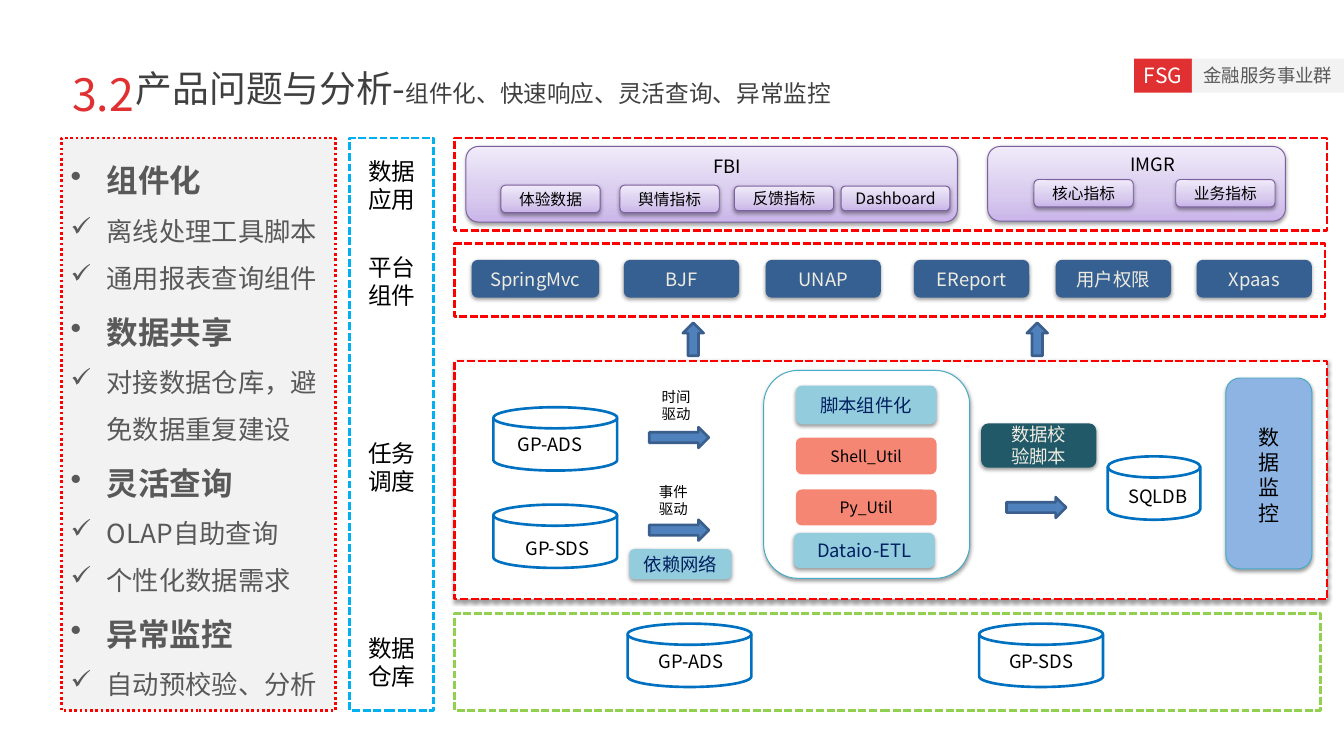
import copy

import lxml.etree
import pptx
import pptx.dml.color
import pptx.enum.dml
import pptx.enum.shapes
import pptx.enum.text
import pptx.oxml.ns
import pptx.util

WIDTH, HEIGHT = 14.22, 8
CELL = 0.1
FONT = "Noto Sans CJK SC"
COLORS = {
    "black": "000000", "white": "FFFFFF", "red": "E03031", "title": "404040",
    "body": "595959", "grey": "F2F2F2", "border": "FF0000", "cyan": "00B0F0",
    "green": "92D050", "purple": "7D60A0", "teal": "46AAC5", "navy": "376092",
    "cream": "EEECE1", "disk": "0070C0", "arrow": "4F81BD", "arrow edge": "3A5F8C",
    "salmon": "F58673", "aqua": "93CDDD", "ink": "002060", "pine": "215968",
    "sky": "8EB4E3", "lilac dark": "C9B5E8", "lilac": "D8CBEE", "lilac light": "F0EAF9",
}
LILAC = [(0, "lilac dark"), (35, "lilac"), (100, "lilac light")]
STYLES = {
    "tag": dict(fill="red", size=16, color="white"),
    "group": dict(fill="grey", size=14, color="body"),
    "red frame": dict(line="border", weight=2, dash="SQUARE_DOT"),
    "task frame": dict(fill="white", line="border", weight=2, dash="SQUARE_DOT", shadow=True),
    "green frame": dict(line="green", weight=2, dash="SQUARE_DOT"),
    "blue frame": dict(line="cyan", weight=2, dash="SQUARE_DOT"),
    "list": dict(fill="grey", line="border", weight=2, dash="ROUND_DOT"),
    "lilac": dict(preset="ROUNDED_RECTANGLE", fill=LILAC, line="purple", shadow=True,
                  size=12, color="black"),
    "script box": dict(preset="ROUNDED_RECTANGLE", fill="white", line="teal", shadow=True),
    "monitor": dict(preset="ROUNDED_RECTANGLE", fill="sky", line="teal", shadow=True),
    "platform": dict(preset="ROUNDED_RECTANGLE", fill="navy", shadow=True, size=14, color="cream"),
    "check": dict(preset="ROUNDED_RECTANGLE", fill="pine", shadow=True, size=14, color="cream"),
    "util": dict(preset="ROUNDED_RECTANGLE", fill="salmon", size=12, color="black"),
    "step": dict(preset="ROUNDED_RECTANGLE", fill="aqua", shadow=True, size=14, color="ink"),
    "disk": dict(preset="FLOWCHART_MAGNETIC_DISK", line="disk", weight=2),
    "arrow": dict(preset="RIGHT_ARROW", fill="arrow", line="arrow edge", weight=2),
}

HEADER = [("tag", 120, 6.2, 6.1, 3.6, "FSG"), ("group", 126.1, 6.2, 16.1, 3.6, "金融服务事业群")]
PANELS = [
    ("lilac", 49.3, 15.5, 52, 8, ""), ("lilac", 104.5, 15.5, 31.5, 7.9, ""),
    ("red frame", 48.1, 14.6, 92.3, 9.8, ""), ("red frame", 48.1, 25.8, 92.1, 7.7, ""),
    ("task frame", 48.1, 38.2, 92.3, 25.2, ""), ("green frame", 48.1, 64.9, 91.6, 10.3, ""),
    ("blue frame", 37, 14.6, 8.9, 60.6, ""), ("script box", 80.8, 39.2, 21.8, 22, ""),
    ("monitor", 129.7, 40, 9.1, 20.2, ""),
]
INDICATORS = [
    ("lilac", 53, 19.6, 10.5, 2.9, "体验数据"), ("lilac", 65.6, 19.6, 10.5, 2.9, "舆情指标"),
    ("lilac", 77.7, 19.7, 10.5, 2.6, "反馈指标"), ("lilac", 89, 19.7, 11.5, 2.6, "Dashboard"),
    ("lilac", 109.4, 19, 10.5, 2.9, "核心指标"), ("lilac", 124.4, 19, 10.5, 2.9, "业务指标"),
]
PLATFORM = [("SpringMvc", 49.9, 13.5), ("BJF", 66, 12.2), ("UNAP", 81, 12.2),
            ("EReport", 96.7, 12.2), ("用户权限", 111.7, 12.2), ("Xpaas", 126.6, 12.2)]
SCRIPTS = [
    ("step", 84.2, 40.8, 14.9, 4.1, "脚本组件化"), ("util", 84.2, 46.3, 14.9, 3.9, "Shell_Util"),
    ("util", 84.2, 51.8, 14.9, 3.8, "Py_Util"), ("step", 84, 56.4, 14.9, 3.7, "Dataio-ETL"),
    ("step", 66.6, 58.1, 10.8, 3.2, "依赖网络"), ("check", 103.8, 44.8, 12.2, 4.7, "数据校\n验脚本"),
]
DISKS = [("GP-ADS", 66.4, 66, 13.1, 2.3, 2.3), ("GP-SDS", 103.6, 66, 13.1, 2.2, 2.3),
         ("GP-ADS", 52.2, 43.1, 13.1, 1.6, 2.2), ("GP-SDS", 52.2, 53.4, 13.1, 2.4, 2.9),
         ("SQLDB", 117.2, 48.3, 9.8, 1.2, 2.5)]
ARROWS = [(68.7, 45.2, 6.3, 0), (68.7, 55, 6.3, 0), (106.5, 52.6, 6.3, 0),
          (71.6, 34.8, 3.5, 270), (108, 34.8, 3.5, 270)]
LAYERS = [("数据\n应用", 14), ("平台\n组件", 24.2), ("任务\n调度", 43.9), ("数据\n仓库", 64.5)]
NOTES = [("时间\n驱动", 67.1, 40.8, 8.9, 4.2, 11), ("事件\n驱动", 68, 51, 6.5, 3.8, 11),
         ("数据监控", 131.7, 44.7, 5.2, 11.1, 16)]
APPLICATIONS = [("FBI", 74.5, 15.9), ("IMGR", 118.6, 15.7)]
TITLE = ("产品问题与分析-", "组件化、快速响应、灵活查询、异常监控")
TOPICS = [
    ("组件化", ["离线处理工具脚本", "通用报表查询组件"]),
    ("数据共享", ["对接数据仓库，避免数据重复建设"]),
    ("灵活查询", ["OLAP自助查询", "个性化数据需求"]),
    ("异常监控", ["自动预校验、分析"]),
]

presentation = pptx.Presentation()
presentation.slide_width = pptx.util.Inches(WIDTH)
presentation.slide_height = pptx.util.Inches(HEIGHT)
slide = presentation.slides.add_slide(presentation.slide_layouts[6])
ALIGN = pptx.enum.text.PP_ALIGN
ANCHOR = pptx.enum.text.MSO_ANCHOR


def rgb(name):
    return pptx.dml.color.RGBColor.from_string(COLORS[name])


def grid(*cells):
    return [pptx.util.Inches(cell * CELL) for cell in cells]


def add_xml(parent, tag, **attributes):
    return lxml.etree.SubElement(parent, pptx.oxml.ns.qn(tag), attributes)


def format_paragraph(paragraph, size, color, align, bold=False, spacing=None):
    paragraph.alignment = align
    paragraph.line_spacing = spacing
    font = paragraph.font
    font.size, font.bold, font.name = pptx.util.Pt(size), bold, FONT
    font.color.rgb = rgb(color)
    properties = paragraph._p.get_or_add_pPr().find(pptx.oxml.ns.qn("a:defRPr"))
    add_xml(properties, "a:ea", typeface=FONT)
    return properties


def write(shape, text, size, color="black", align=ALIGN.CENTER, anchor=ANCHOR.MIDDLE, spacing=None):
    frame = shape.text_frame
    frame.word_wrap, frame.vertical_anchor = True, anchor
    frame.text = text
    for paragraph in frame.paragraphs:
        format_paragraph(paragraph, size, color, align, spacing=spacing)
    return frame


def add_label(text, left, top, width, height, size, **options):
    return write(slide.shapes.add_textbox(*grid(left, top, width, height)), text, size, **options)


def fill_gradient(shape, stops):
    shape.fill.gradient()
    shape.fill.gradient_angle = 90
    for stop, (_, color) in zip(shape.fill.gradient_stops, (stops[0], stops[-1])):
        stop.color.rgb = rgb(color)
    stop_list = next(shape._element.spPr.iter(pptx.oxml.ns.qn("a:gsLst")))
    middle = copy.deepcopy(stop_list[0])
    middle.set("pos", str(stops[1][0] * 1000))
    middle[0].set("val", COLORS[stops[1][1]])
    stop_list.insert(1, middle)


def add_box(name, left, top, width, height, text=""):
    style = STYLES[name]
    preset = getattr(pptx.enum.shapes.MSO_SHAPE, style.get("preset", "RECTANGLE"))
    shape = slide.shapes.add_shape(preset, *grid(left, top, width, height))
    fill = style.get("fill")
    if isinstance(fill, list):
        fill_gradient(shape, fill)
    elif fill:
        shape.fill.solid()
        shape.fill.fore_color.rgb = rgb(fill)
    else:
        shape.fill.background()
    if "line" in style:
        shape.line.color.rgb = rgb(style["line"])
        shape.line.width = pptx.util.Pt(style.get("weight", 0.75))
        if "dash" in style:
            shape.line.dash_style = getattr(pptx.enum.dml.MSO_LINE, style["dash"])
    else:
        shape.line.fill.background()
    shape.shadow.inherit = False
    if style.get("shadow"):
        effects = shape._element.spPr.find(pptx.oxml.ns.qn("a:effectLst"))
        shadow = add_xml(effects, "a:outerShdw", blurRad=str(pptx.util.Pt(3.1)),
                         dist=str(pptx.util.Pt(1.6)), dir="5400000", rotWithShape="0")
        color = add_xml(shadow, "a:srgbClr", val=COLORS["black"])
        add_xml(color, "a:alpha", val="38000")
    if text:
        frame = write(shape, text, style["size"], style["color"])
        frame.margin_left = frame.margin_right = frame.margin_top = frame.margin_bottom = 0
    return shape


def add_topics():
    frame = add_box("list", 6.5, 14.6, 29, 60.6).text_frame
    frame.word_wrap, frame.vertical_anchor = True, ANCHOR.TOP
    lines = [line for heading, items in TOPICS
             for line in [(heading, "•", 24)] + [(item, "✓", 20) for item in items]]
    frame.text = "\n".join(text for text, _, _ in lines)
    indent = pptx.util.Inches(0.38)
    for paragraph, (_, bullet, size) in zip(frame.paragraphs, lines):
        defaults = format_paragraph(paragraph, size, "body", ALIGN.LEFT, bullet == "•", 1.5)
        properties = defaults.getparent()
        properties.set("marL", str(indent))
        properties.set("indent", str(-indent))
        defaults.addprevious(add_xml(properties, "a:buChar", char=bullet))


title = add_label(TITLE[0], 13.4, 1.8, 120.4, 10.4, 28, color="title",
                  align=ALIGN.LEFT, anchor=ANCHOR.TOP, spacing=2)
subtitle = title.paragraphs[0].add_run()
subtitle.text, subtitle.font.size = TITLE[1], pptx.util.Pt(18)
number = add_label("3.2", 6.5, 0.9, 8.8, 12.5, 34, color="red", anchor=ANCHOR.TOP, spacing=2)
number.word_wrap = False

platform = [("platform", left, 27.5, width, 4, text) for text, left, width in PLATFORM]
for box in HEADER + PANELS + INDICATORS + platform + SCRIPTS:
    add_box(*box)
for text, left, top, width, shift, drop in DISKS:
    add_box("disk", left, top, width, 6.7)
    add_label(text, left + shift, top + drop, 11.8, 3.4, 14, align=ALIGN.LEFT, anchor=ANCHOR.TOP)
for left, top, length, rotation in ARROWS:
    add_box("arrow", left, top, length, 2.2).rotation = rotation
for text, top in LAYERS:
    add_label(text, 37, top, 8.9, 11.1, 18)
for note in NOTES:
    add_label(*note)
for text, left, top in APPLICATIONS:
    add_label(text, left, top, 13.2, 3.4, 14, align=ALIGN.LEFT, anchor=ANCHOR.TOP)
add_topics()

presentation.save("out.pptx")
